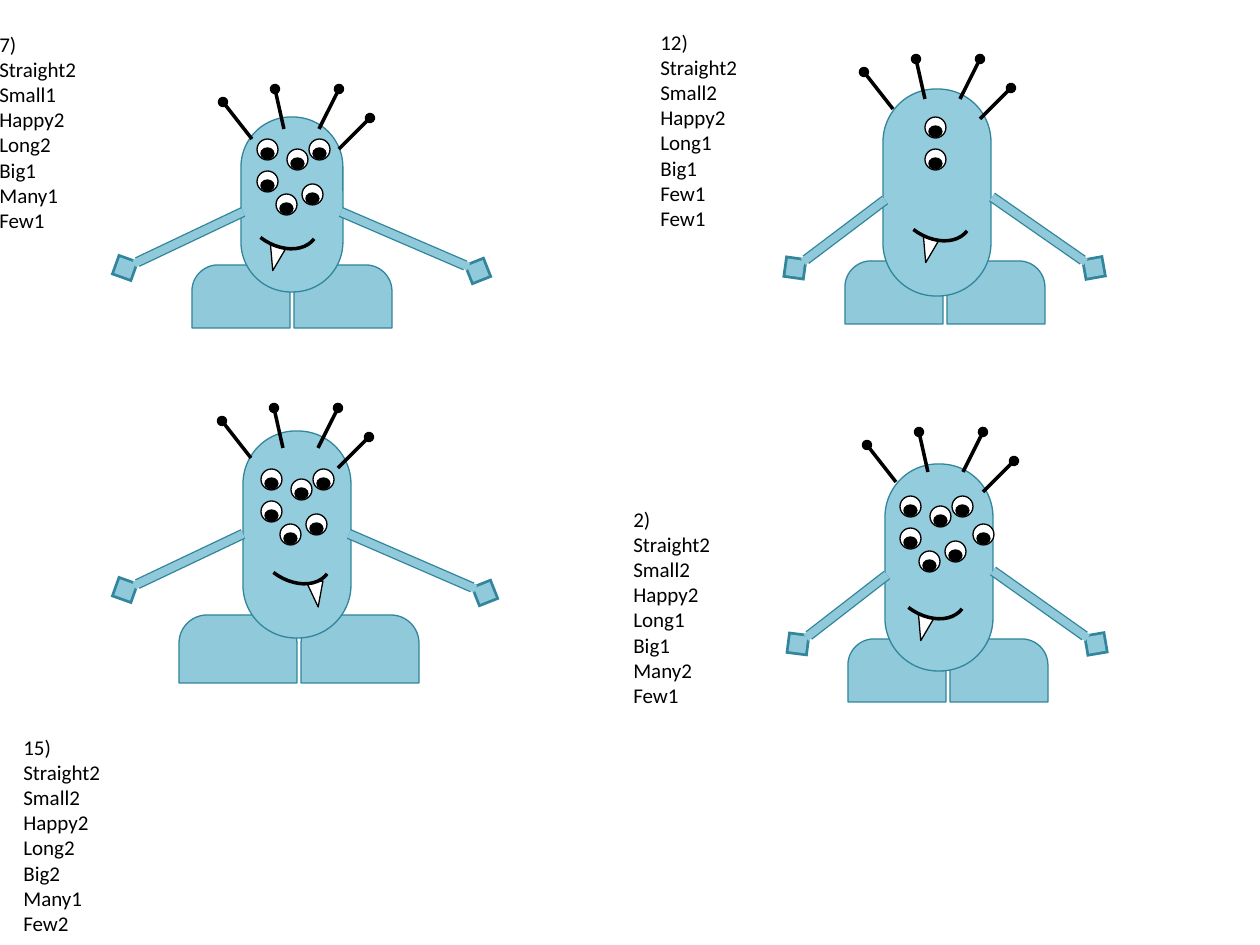
from dataclasses import dataclass

from pptx import Presentation
from pptx import util as u
from pptx.dml.color import RGBColor
from pptx.enum import shapes, text
from pptx.oxml.ns import qn
from lxml import etree

PX = 914400 // 126
BODY = RGBColor(0x93, 0xCD, 0xDD)
LIMB = RGBColor(0x90, 0xC9, 0xDA)
OUTLINE = RGBColor(0x31, 0x85, 0x9C)
BLACK = RGBColor(0, 0, 0)
WHITE = RGBColor(255, 255, 255)
KIND = shapes.MSO_SHAPE

# Antennae (base, tip) measured from the tip of the leftmost one
ANTENNAE = [((29, 37), (0, 0)), ((61, 27), (52, -13)),
            ((96, 27), (116, -13)), ((116, 47), (147, 16))]
# Eyes measured from the top left one; each monster shows the first few
EYES = [(0, 0), (0, 32), (30, 10), (45, 45), (52, 0), (19, 55), (73, 28)]
FOOT_GAP = 4


@dataclass
class Monster:
    body: tuple
    feet: tuple
    arms: list
    antennae: tuple
    eyes: tuple
    eye_count: int
    smile: tuple
    tooth: tuple = (20, 77)
    tooth_angle: float = 191


MONSTERS = [
    Monster((241, 117, 102, 175), (192, 265, 98, 63),
            [((243, 212), (125, 268)), ((341, 212), (478, 271))],
            (223, 102), (257, 139), 6, (248, 169)),
    Monster((243, 431, 108, 207), (179, 615, 118, 68),
            [((243, 534), (125, 590)), ((349, 534), (485, 593))],
            (222, 421), (261, 469), 6, (261, 504), (48, 78), 170.8),
    Monster((883, 89, 108, 207), (845, 261, 98, 63),
            [((885, 200), (795, 268)), ((992, 197), (1094, 268))],
            (864, 72), (925, 117), 2, (901, 161)),
    Monster((885, 464, 108, 207), (848, 639, 98, 63),
            [((887, 575), (798, 644)), ((993, 571), (1096, 644))],
            (867, 445), (900, 496), 7, (896, 539)),
]

LABELS = [
    ((-13, 25, 103, 217), False,
     "7) Straight2 Small1 Happy2 Long2 Big1 Many1 Few1"),
    ((11, 728, 103, 217), False,
     "15) Straight2 Small2 Happy2 Long2 Big2 Many1 Few2"),
    ((648, 23, 103, 217), False,
     "12) Straight2 Small2 Happy2 Long1 Big1 Few1 Few1"),
    ((621, 500, 174, 219), True,
     "2) Straight2 Small2 Happy2 Long1 Big1 Many2 Few1"),
]


def emu(values):
    return [value * PX for value in values]


def shift(origin, offset):
    return origin[0] + offset[0], origin[1] + offset[1]


def add_part(slide, kind, box, fill, line, adjust=(), angle=0, width=0.75):
    part = slide.shapes.add_shape(kind, *emu(box))
    part.shadow.inherit = False
    part.rotation = angle
    for index, value in enumerate(adjust):
        part.adjustments[index] = value
    if fill is None:
        part.fill.background()
    else:
        part.fill.solid()
        part.fill.fore_color.rgb = fill
    part.line.color.rgb = line
    part.line.width = u.Pt(width)


def add_stroke(slide, start, end, color, width, tip):
    stroke = slide.shapes.add_connector(
        shapes.MSO_CONNECTOR.STRAIGHT, *emu(start + end))
    stroke.line.color.rgb = color
    stroke.line.width = u.Pt(width)
    etree.SubElement(stroke.line._get_or_add_ln(), qn("a:tailEnd"), type=tip)
    etree.SubElement(stroke._element.spPr, qn("a:effectLst"))


def add_label(slide, box, wrap, words):
    label = slide.shapes.add_textbox(*emu(box))
    frame = label.text_frame
    frame.word_wrap = wrap
    frame.auto_size = text.MSO_AUTO_SIZE.SHAPE_TO_FIT_TEXT
    for index, word in enumerate(words.split()):
        line = frame.add_paragraph() if index else frame.paragraphs[0]
        run = line.add_run()
        run.text = word
        run.font.name = "Calibri"
        run.font.size = u.Pt(12)
        run.font.color.rgb = BLACK


def add_eye(slide, corner):
    add_part(slide, KIND.OVAL, corner + (21, 21), WHITE, BLACK)
    add_part(slide, KIND.OVAL, shift(corner, (4, 9)) + (13, 11), BLACK, BLACK)


def add_monster(slide, monster):
    # Feet and body
    left, top, width, height = monster.feet
    for x in (left + width + FOOT_GAP, left):
        add_part(slide, KIND.ROUND_2_SAME_RECTANGLE, (x, top, width, height),
                 LIMB, OUTLINE, (0.414, 0))
    add_part(slide, KIND.ROUNDED_RECTANGLE, monster.body, BODY, OUTLINE,
             (0.49,))
    # Arms: a wide dark stroke under a narrower light one
    for shoulder, hand in monster.arms:
        for color, weight in ((OUTLINE, 6), (LIMB, 4.5)):
            add_stroke(slide, shoulder, hand, color, weight, "diamond")
    # Antennae
    for base, tip in ANTENNAE:
        add_stroke(slide, shift(monster.antennae, base),
                   shift(monster.antennae, tip), BLACK, 2, "oval")
    # Face
    for offset in EYES[:monster.eye_count]:
        add_eye(slide, shift(monster.eyes, offset))
    add_part(slide, KIND.ISOSCELES_TRIANGLE,
             shift(monster.smile, monster.tooth) + (16, 25), WHITE, BLACK,
             (0.557,), monster.tooth_angle)
    add_part(slide, KIND.ARC, monster.smile + (63, 87), None, BLACK,
             angle=127.4, width=2)


def main():
    deck = Presentation()
    deck.slide_width, deck.slide_height = u.Inches(10), u.Inches(7.5)
    slide = deck.slides.add_slide(deck.slide_layouts[6])
    for label in LABELS:
        add_label(slide, *label)
    for monster in MONSTERS:
        add_monster(slide, monster)
    deck.save("out.pptx")


main()
